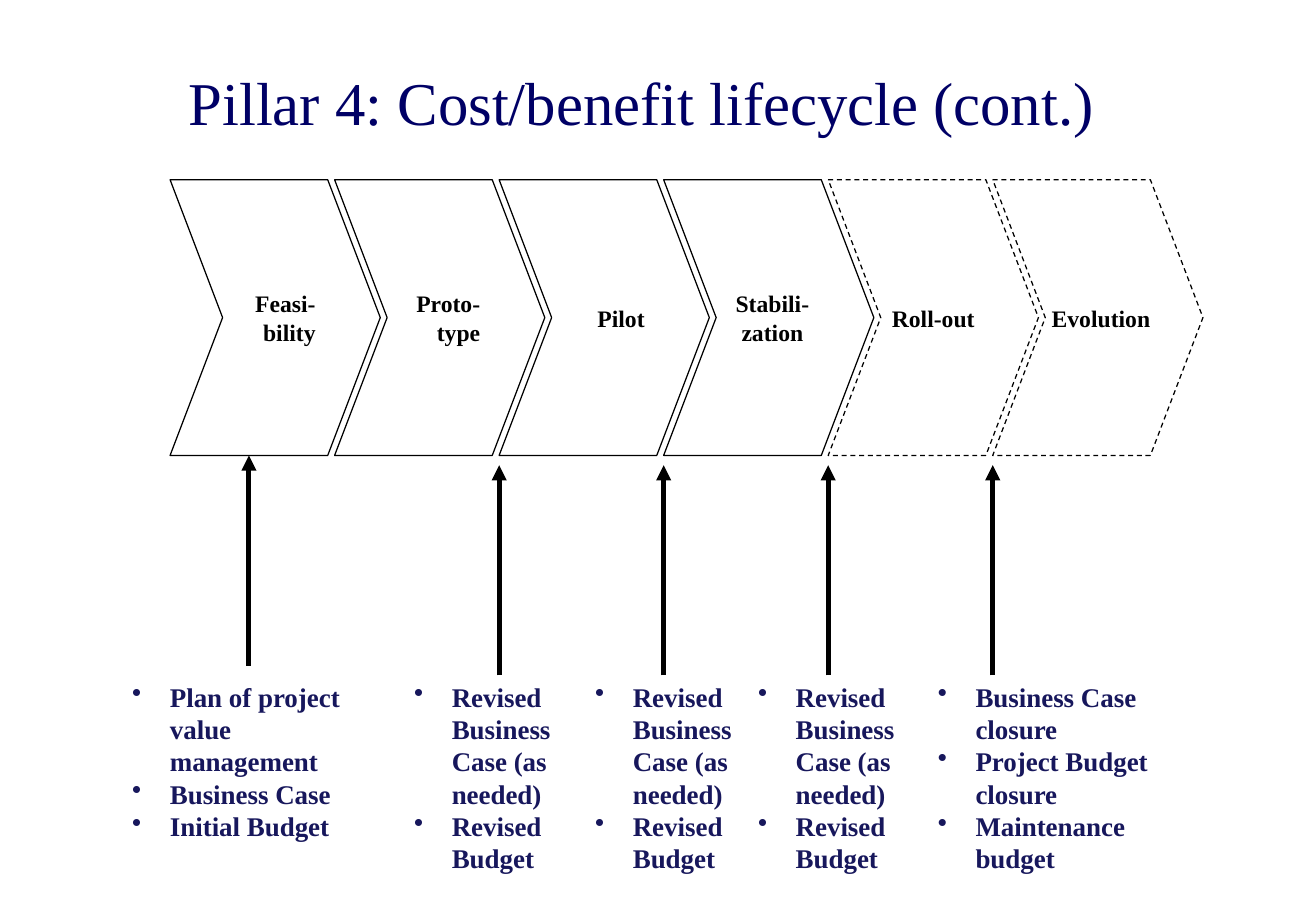
from dataclasses import dataclass

from lxml.etree import SubElement
from pptx import Presentation
from pptx.dml.color import RGBColor
from pptx.enum.dml import MSO_LINE
from pptx.enum.shapes import MSO_CONNECTOR, MSO_SHAPE
from pptx.enum.text import MSO_ANCHOR, PP_ALIGN
from pptx.oxml.ns import qn
from pptx.util import Inches, Pt

TITLE = "Pillar 4: Cost/benefit lifecycle (cont.)"

# label, alignment, left inset, right inset, dashed outline
PHASES = [
    ("Feasi-bility", PP_ALIGN.RIGHT, 0.1, 0.1, False),
    ("Proto-type", PP_ALIGN.RIGHT, 0.1, 0.1, False),
    ("Pilot", PP_ALIGN.RIGHT, 0.1, 0.1, False),
    ("Stabili-zation ", PP_ALIGN.RIGHT, 0, 0.1, False),
    ("Roll-out", PP_ALIGN.CENTER, 0, 0, True),
    ("Evolution", PP_ALIGN.RIGHT, 0, 0, True),
]

REVISION = ["Revised Business Case (as needed)", "Revised Budget"]
# left, width, height, bullets
DELIVERABLES = [
    (0.99, 2.14, 1.45, ["Plan of project value management", "Business Case", "Initial Budget"]),
    (3.31, 1.64, 1.72, REVISION),
    (4.8, 1.4, 1.72, REVISION),
    (6.14, 1.4, 1.72, REVISION),
    (7.62, 2.13, 1.72, ["Business Case closure", "Project Budget closure", "Maintenance budget"]),
]


@dataclass(frozen=True)
class Theme:
    font: str = "Times New Roman"
    title: RGBColor = RGBColor(0x00, 0x00, 0x66)
    bullet: RGBColor = RGBColor(0x17, 0x17, 0x5C)
    ink: RGBColor = RGBColor(0x00, 0x00, 0x00)
    paper: RGBColor = RGBColor(0xFF, 0xFF, 0xFF)
    title_size: int = 36
    label_size: int = 14
    bullet_size: int = 16
    outline: float = 0.75
    arrow: float = 3


THEME = Theme()

CHEVRON_LEFT, CHEVRON_TOP = 1.4, 1.48
CHEVRON_WIDTH, CHEVRON_HEIGHT = 1.73, 2.27
CHEVRON_POINT = 0.25
CHEVRON_STEP = (8.17 - CHEVRON_LEFT) / (len(PHASES) - 1)
CHEVRON_BOTTOM = CHEVRON_TOP + CHEVRON_HEIGHT
ARROW_LENGTH, ARROW_GAP = 1.73, 0.08
BULLETS_TOP = 5.55
BULLET_INDENT = 0.31


def write(shape, lines, size, color, bold=True, align=PP_ALIGN.LEFT,
          anchor=MSO_ANCHOR.TOP, left=0.1, right=0.1, bulleted=False):
    """Fill a shape with one paragraph per line."""
    frame = shape.text_frame
    frame.word_wrap = True
    frame.vertical_anchor = anchor
    frame.margin_left, frame.margin_right = Inches(left), Inches(right)
    frame.margin_top = frame.margin_bottom = Inches(0.05)
    for index, line in enumerate(lines):
        para = frame.add_paragraph() if index else frame.paragraphs[0]
        para.alignment = align
        if bulleted:
            properties = para._p.get_or_add_pPr()
            properties.set("marL", str(Inches(BULLET_INDENT)))
            properties.set("indent", str(-Inches(BULLET_INDENT)))
            SubElement(properties, qn("a:buChar")).set("char", "•")
        span = para.add_run()
        span.text = line
        font = span.font
        font.name, font.size, font.bold = THEME.font, Pt(size), bold
        font.color.rgb = color


def add_phase(page, left, label, align, inset_left, inset_right, dashed):
    chevron = page.shapes.add_shape(
        MSO_SHAPE.CHEVRON, Inches(left), Inches(CHEVRON_TOP),
        Inches(CHEVRON_WIDTH), Inches(CHEVRON_HEIGHT))
    chevron.adjustments[0] = CHEVRON_POINT
    chevron.shadow.inherit = False
    chevron.fill.solid()
    chevron.fill.fore_color.rgb = THEME.paper
    chevron.line.color.rgb = THEME.ink
    chevron.line.width = Pt(THEME.outline)
    if dashed:
        chevron.line.dash_style = MSO_LINE.DASH
    write(chevron, [label], THEME.label_size, THEME.ink, align=align,
          anchor=MSO_ANCHOR.MIDDLE, left=inset_left, right=inset_right)


def add_up_arrow(page, x, tip):
    arrow = page.shapes.add_connector(
        MSO_CONNECTOR.STRAIGHT, Inches(x), Inches(tip + ARROW_LENGTH), Inches(x), Inches(tip))
    arrow.line.color.rgb = THEME.ink
    arrow.line.width = Pt(THEME.arrow)
    SubElement(arrow.line._get_or_add_ln(), qn("a:tailEnd")).set("type", "triangle")
    SubElement(arrow._element.spPr, qn("a:effectLst"))


def main():
    deck = Presentation()
    deck.slide_width, deck.slide_height = Inches(10.83), Inches(7.5)
    page = deck.slides.add_slide(deck.slide_layouts[5])

    title = page.shapes.title
    title.left, title.top = Inches(0.81), Inches(0.33)
    title.width, title.height = Inches(8.94), Inches(1)
    write(title, [TITLE], THEME.title_size, THEME.title, bold=False,
          align=PP_ALIGN.CENTER, anchor=MSO_ANCHOR.MIDDLE)

    lefts = [CHEVRON_LEFT + CHEVRON_STEP * index for index in range(len(PHASES))]
    for left, phase in zip(lefts, PHASES):
        add_phase(page, left, *phase)

    # The first arrow meets the base of its chevron; the rest point at phase starts.
    base_middle = CHEVRON_LEFT + CHEVRON_WIDTH * (1 - CHEVRON_POINT) / 2
    add_up_arrow(page, base_middle, CHEVRON_BOTTOM)
    for left in lefts[2:]:
        add_up_arrow(page, left, CHEVRON_BOTTOM + ARROW_GAP)

    for left, width, height, bullets in DELIVERABLES:
        box = page.shapes.add_textbox(
            Inches(left), Inches(BULLETS_TOP), Inches(width), Inches(height))
        write(box, bullets, THEME.bullet_size, THEME.bullet, bulleted=True)

    deck.save("out.pptx")


if __name__ == "__main__":
    main()
